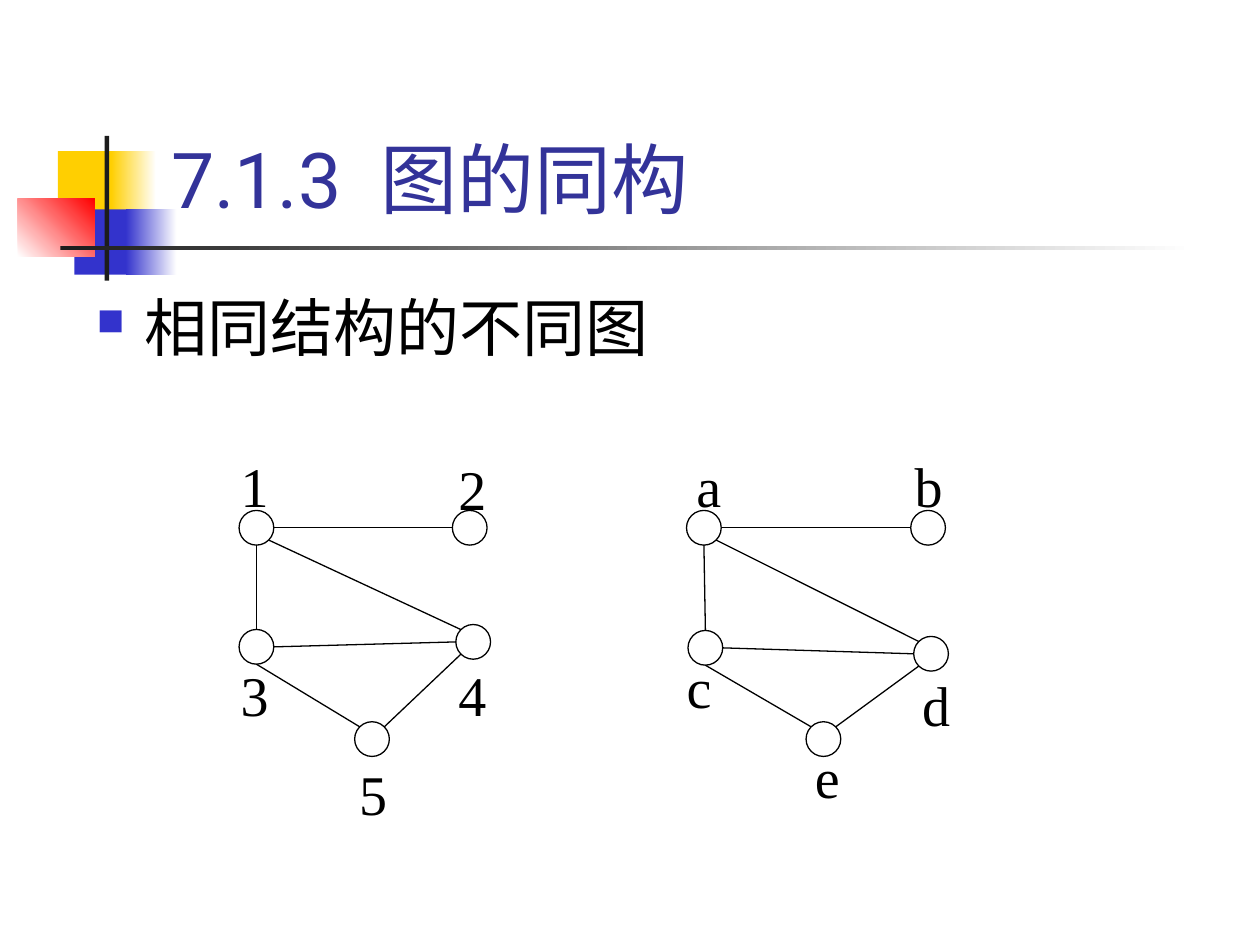
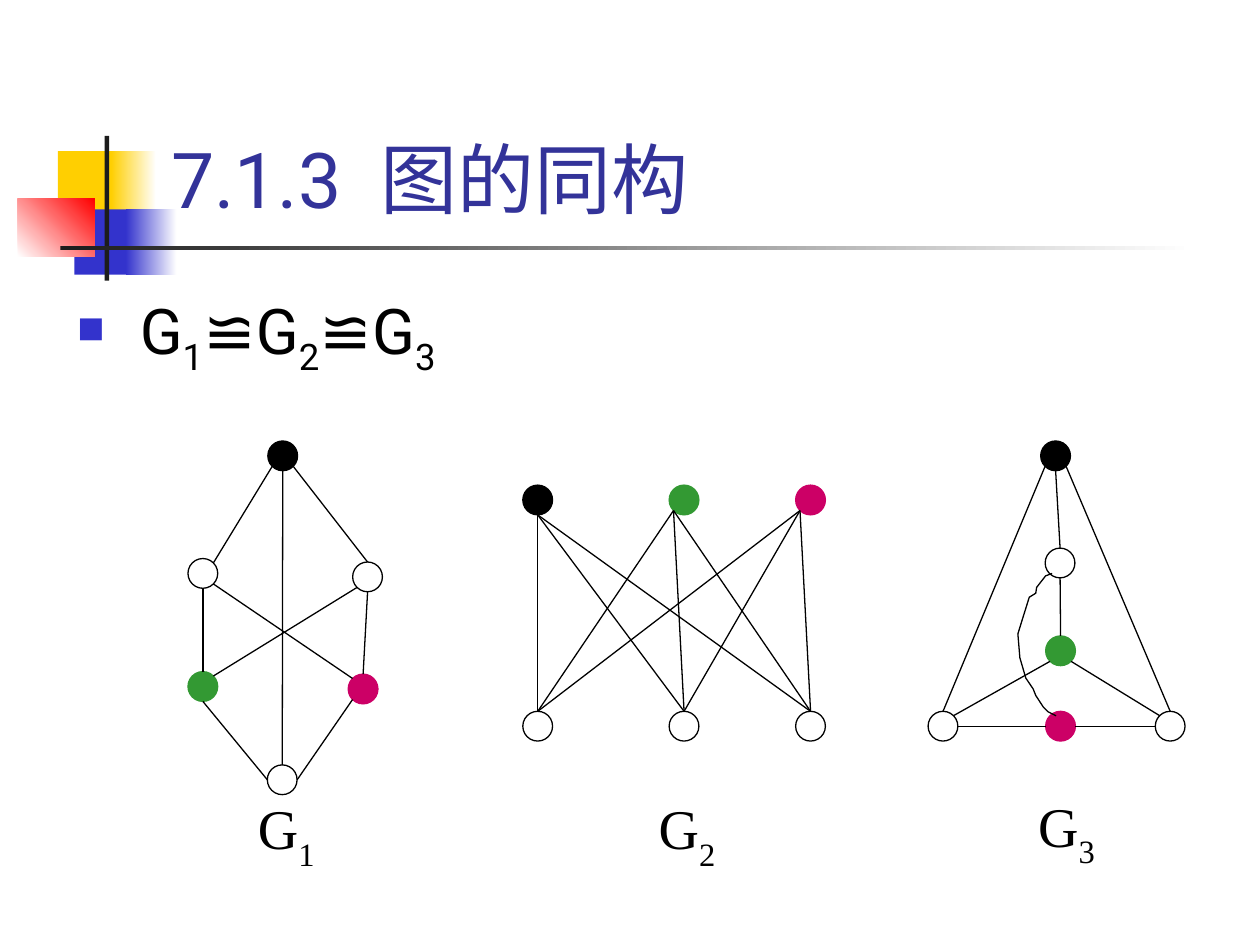
from math import cos, radians, sin

from lxml import etree
from pptx import Presentation
from pptx.dml.color import RGBColor
from pptx.enum.shapes import MSO_CONNECTOR, MSO_SHAPE
from pptx.enum.text import MSO_ANCHOR, PP_ALIGN
from pptx.oxml.ns import qn
from pptx.util import Cm, Pt

RECTANGLE, OVAL = MSO_SHAPE.RECTANGLE, MSO_SHAPE.OVAL
STRAIGHT = MSO_CONNECTOR.STRAIGHT
TOP, BOTTOM = MSO_ANCHOR.TOP, MSO_ANCHOR.BOTTOM
LEFT = PP_ALIGN.LEFT

WHITE = RGBColor(0xFF, 0xFF, 0xFF)
BLACK = RGBColor(0x00, 0x00, 0x00)
YELLOW = RGBColor(0xFF, 0xCF, 0x01)
BLUE = RGBColor(0x33, 0x33, 0xCC)
RED = RGBColor(0xFF, 0x00, 0x00)
CHARCOAL = RGBColor(0x1C, 0x1C, 0x1C)
NAVY = RGBColor(0x33, 0x33, 0x99)
GREEN = RGBColor(0x33, 0x99, 0x33)
PINK = RGBColor(0xCC, 0x00, 0x66)

HEAD_FONT, LABEL_FONT = "Roboto", "Times New Roman"
LINE_WIDTH = Pt(0.75)

# Sites on the rim of a vertex, counted anticlockwise from the top
N, NW, W, SW, S, SE, E, NE = range(8)

# left, top, width, height, first colour, last colour, angle
ORNAMENTS = [
    (1.17, 3.05, 1.22, 1.32, YELLOW, YELLOW, 0),
    (2.24, 3.05, 0.91, 1.32, YELLOW, WHITE, 0),
    (1.5, 4.22, 1.17, 1.32, BLUE, BLUE, 0),
    (2.54, 4.22, 1.02, 1.32, BLUE, WHITE, 0),
    (0.36, 4.01, 1.55, 1.17, WHITE, RED, 45),
    (2.11, 2.74, 0.09, 2.92, CHARCOAL, CHARCOAL, 0),
    (1.22, 4.95, 22.86, 0.09, CHARCOAL, WHITE, 0),
]


def write(frame, spans, font, size, color, anchor=TOP):
    """Fill the first paragraph with (text, baseline, spacing) spans."""
    frame.word_wrap = True
    frame.vertical_anchor = anchor
    para = frame.paragraphs[0]
    para.alignment = LEFT
    for text, baseline, spacing in spans:
        span = para.add_run()
        span.text = text
        span.font.name = font
        span.font.size = Pt(size)
        span.font.color.rgb = color
        properties = span.font._element
        if baseline:
            properties.set("baseline", str(baseline * 1000))
        if spacing:
            properties.set("spc", str(spacing * 100))
    return para


def draw_graph(page, vertices, edges, diameter):
    """Draw vertices (x, y, fill) and edges (from, site, to, site)."""
    radius = diameter / 2
    for x, y, color in vertices:
        vertex = page.shapes.add_shape(
            OVAL, Cm(x - radius), Cm(y - radius), Cm(diameter), Cm(diameter))
        vertex.shadow.inherit = False
        vertex.fill.solid()
        vertex.fill.fore_color.rgb = color
        vertex.line.color.rgb = BLACK if color == WHITE else color
        vertex.line.width = LINE_WIDTH
    for start, start_site, end, end_site in edges:
        ends = []
        for index, site in ((start, start_site), (end, end_site)):
            x, y, _ = vertices[index]
            angle = radians(90 + 45 * site)
            ends += [Cm(x + radius * cos(angle)), Cm(y - radius * sin(angle))]
        edge = page.shapes.add_connector(STRAIGHT, *ends)
        edge.line.color.rgb = BLACK
        edge.line.width = LINE_WIDTH
        etree.SubElement(edge._element.spPr, qn("a:effectLst"))


deck = Presentation()
deck.slide_width, deck.slide_height = Cm(25.4), Cm(19.05)

# Body box left, top, hanging indent, spans; then label size and labels
PAGES = [
    ((1.7, 5.7, 0.97, [("相同结构的不同图", 0, 0)]), (2.36, 2.03), [
        (4.6, 8.86, "1", ""), (8.99, 8.92, "2", ""), (4.6, 13.06, "3", ""),
        (8.99, 13.06, "4", ""), (6.99, 15.06, "5", ""),
        (13.79, 8.86, "a", ""), (18.19, 8.86, "b", ""), (13.59, 12.9, "c", ""),
        (18.34, 13.26, "d", ""), (16.18, 14.71, "e", "")]),
    ((1.3, 5.75, 1.27, [("G", 0, 0), ("1", -25, 0), ("≌G", 0, 0),
                        ("2", -25, 0), ("≌G", 0, 0), ("3", -25, 0)]),
     (2, 1.75), [
        (4.95, 15.75, "G", "1"), (13.03, 15.75, "G", "2"),
        (20.68, 15.7, "G", "3")]),
]

for (left, top, indent, body), (width, height), labels in PAGES:
    page = deck.slides.add_slide(deck.slide_layouts[6])

    for x, y, wide, high, first, last, angle in ORNAMENTS:
        ornament = page.shapes.add_shape(
            RECTANGLE, Cm(x), Cm(y), Cm(wide), Cm(high))
        ornament.shadow.inherit = False
        ornament.line.fill.background()
        if first == last:
            ornament.fill.solid()
            ornament.fill.fore_color.rgb = first
        else:
            ornament.fill.gradient()
            ornament.fill.gradient_angle = angle
            for stop, color in zip(ornament.fill.gradient_stops, (first, last)):
                stop.color.rgb = color

    title = page.shapes.add_textbox(Cm(3.2), Cm(0.58), Cm(21.64), Cm(4.06))
    write(title.text_frame, [("7.1.3", 0, 0), (" ", 0, 11), ("图的同构", 0, 0)],
          HEAD_FONT, 44, NAVY, BOTTOM)

    box = page.shapes.add_textbox(Cm(left), Cm(top), Cm(23), Cm(2.5))
    para = write(box.text_frame, body, HEAD_FONT, 36, BLACK)
    properties = para._p.get_or_add_pPr()
    properties.set("marL", str(Cm(indent)))
    properties.set("indent", str(-Cm(indent)))
    bullet_color = etree.SubElement(properties, qn("a:buClr"))
    etree.SubElement(bullet_color, qn("a:srgbClr"), val=str(BLUE))
    etree.SubElement(properties, qn("a:buSzPct"), val="60000")
    etree.SubElement(properties, qn("a:buChar"), char="■")

    for x, y, name, subscript in labels:
        label = page.shapes.add_shape(
            RECTANGLE, Cm(x), Cm(y), Cm(width), Cm(height))
        label.shadow.inherit = False
        label.fill.solid()
        label.fill.fore_color.rgb = WHITE
        label.line.color.rgb = WHITE
        label.line.width = LINE_WIDTH
        label.text_frame.margin_top = Cm(0.25)
        spans = [(name, 0, 0)]
        if subscript:
            spans.append((subscript, -30, 0))
        write(label.text_frame, spans, LABEL_FONT, 32, BLACK)

same_structure, isomorphic = deck.slides

# Two drawings of one graph share their edges
house_edges = [(0, E, 1, W), (0, S, 2, N), (0, SE, 3, NW),
               (3, SW, 4, NE), (2, S, 4, NW), (2, E, 3, W)]
numbered = [(5.17, 10.64), (9.47, 10.64), (5.17, 13.04), (9.54, 12.94), (7.5, 14.9)]
lettered = [(14.19, 10.64), (18.71, 10.64), (14.22, 13.06), (18.77, 13.18), (16.6, 14.9)]
for places in (numbered, lettered):
    draw_graph(same_structure, [(x, y, WHITE) for x, y in places], house_edges, 0.7)

hexagon = [(5.7, 9.19, BLACK), (4.09, 11.56, WHITE), (4.09, 13.84, GREEN),
           (7.41, 11.63, WHITE), (7.32, 13.89, PINK), (5.69, 15.72, WHITE)]
hexagon_edges = [(0, SW, 1, NE), (1, S, 2, N), (0, SE, 3, N),
                 (3, S, 4, N), (2, S, 5, W), (4, SW, 5, E),
                 (0, S, 5, N), (1, SE, 4, NW), (3, SW, 2, NE)]

columns = [10.84, 13.79, 16.34]
bipartite = [(x, 10.08, color) for x, color in zip(columns, (BLACK, GREEN, PINK))]
bipartite += [(x, 14.64, WHITE) for x in columns]
bipartite_edges = [(upper, site, lower, N)
                   for upper, site in enumerate((S, SW, SW)) for lower in (3, 4, 5)]

triangle = [(21.28, 9.19, BLACK), (21.37, 11.35, WHITE), (21.38, 13.12, GREEN),
            (19.01, 14.64, WHITE), (21.38, 14.64, PINK), (23.59, 14.64, WHITE)]
triangle_edges = [(0, SW, 3, N), (0, SE, 5, N), (0, S, 1, N), (1, S, 2, N),
                  (2, SW, 3, NE), (2, SE, 5, NW), (3, E, 4, W), (4, E, 5, W)]

for vertices, edges in ((hexagon, hexagon_edges), (bipartite, bipartite_edges),
                        (triangle, triangle_edges)):
    draw_graph(isomorphic, vertices, edges, 0.6)

# The last edge of the triangle bends around its green vertex
bend = [(21.21, 11.56), (21.08, 11.61), (20.9, 11.84), (20.88, 11.96),
        (20.75, 12.04), (20.6, 12.52), (20.52, 12.78), (20.56, 13.26),
        (20.68, 13.67), (20.83, 13.89), (20.88, 14.02), (21.03, 14.25),
        (21.13, 14.35), (21.29, 14.43)]
bend = [(Cm(x), Cm(y)) for x, y in bend]
builder = isomorphic.shapes.build_freeform(*bend[0])
builder.add_line_segments(bend[1:], close=False)
bent_edge = builder.convert_to_shape()
bent_edge.shadow.inherit = False
bent_edge.fill.background()
bent_edge.line.color.rgb = BLACK
bent_edge.line.width = LINE_WIDTH

deck.save("out.pptx")
